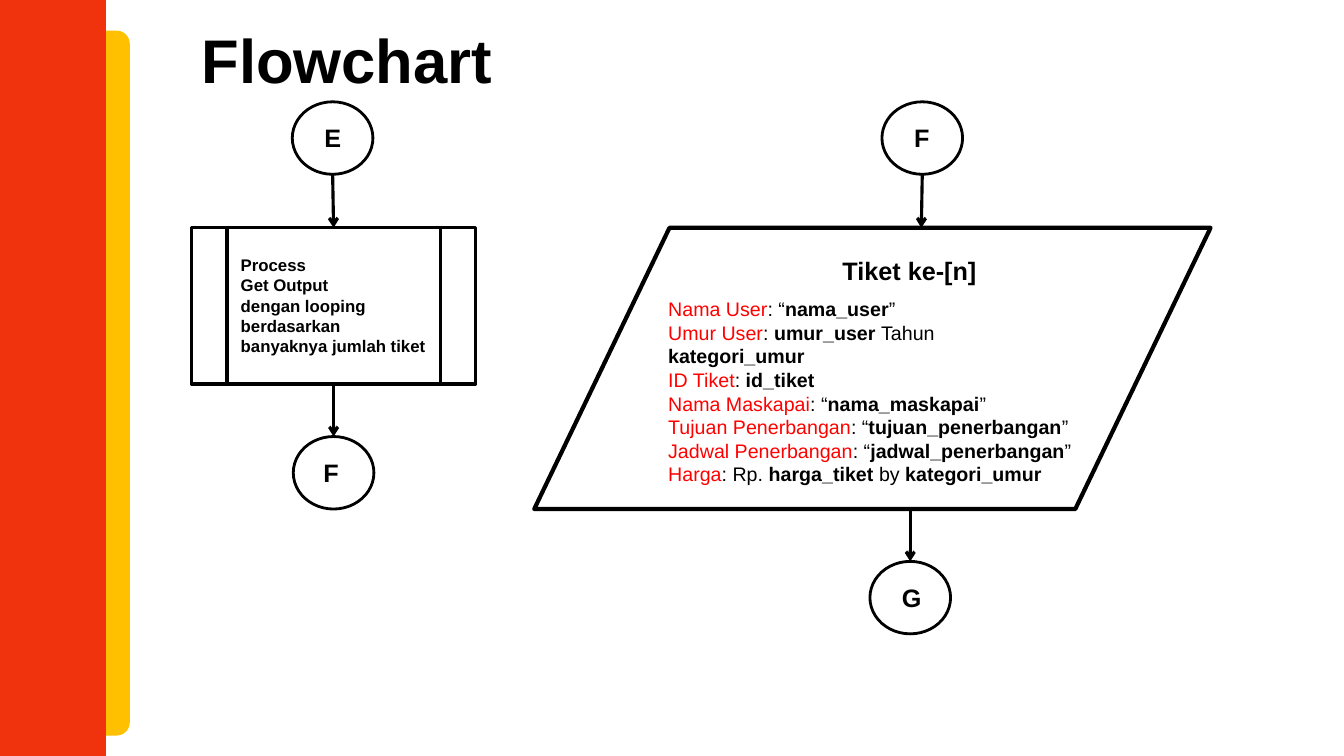
from dataclasses import dataclass

from lxml.etree import SubElement
from pptx import Presentation
from pptx.dml.color import RGBColor
from pptx.enum.shapes import MSO_CONNECTOR, MSO_SHAPE as Preset
from pptx.enum.text import MSO_AUTO_SIZE as AutoSize
from pptx.oxml.ns import qn
from pptx.shapes.autoshape import Shape
from pptx.shapes.connector import Connector
from pptx.util import Pt

BLACK = RGBColor(0x00, 0x00, 0x00)
WHITE = RGBColor(0xFF, 0xFF, 0xFF)
FIELD_RED = RGBColor(0xFF, 0x00, 0x00)
BAND_RED = RGBColor(0xF1, 0x33, 0x0D)
BAND_YELLOW = RGBColor(0xFF, 0xC0, 0x00)
FONT = "Arial"
CIRCLE_WIDTH, CIRCLE_HEIGHT = 57.6, 51.8
TOP, BOTTOM = 0, 2


@dataclass(frozen=True)
class Box:
    left: float
    top: float
    width: float
    height: float

    @property
    def center(self) -> float:
        return self.left + self.width / 2

    @property
    def bottom(self) -> float:
        return self.top + self.height


@dataclass(frozen=True)
class Span:
    text: str
    bold: bool = True
    color: RGBColor = BLACK


@dataclass(frozen=True)
class Junction:
    letter: str
    left: float
    top: float
    label_left: float
    label_width: float

    @property
    def box(self) -> Box:
        return Box(self.left, self.top, CIRCLE_WIDTH, CIRCLE_HEIGHT)


@dataclass(frozen=True)
class Field:
    name: str
    value: tuple[str, ...]  # plain and bold parts in turn

    def spans(self) -> list[Span]:
        parts = [Span(part, bold=i % 2 == 1) for i, part in enumerate(self.value)]
        return [Span(self.name, bold=False, color=FIELD_RED), *parts]


prs = Presentation()
prs.slide_width, prs.slide_height = Pt(960), Pt(540)
slide = prs.slides.add_slide(prs.slide_layouts[6])


def add_block(preset: Preset, box: Box, fill: RGBColor = WHITE,
              line: RGBColor = BLACK, weight: float = 2) -> Shape:
    block = slide.shapes.add_shape(
        preset, Pt(box.left), Pt(box.top), Pt(box.width), Pt(box.height))
    block.shadow.inherit = False
    block.fill.solid()
    block.fill.fore_color.rgb = fill
    block.line.color.rgb = line
    block.line.width = Pt(weight)
    return block


def add_text(paragraphs: list[list[Span]], box: Box, *, size: float,
             wrap: bool = False) -> None:
    frame = slide.shapes.add_textbox(
        Pt(box.left), Pt(box.top), Pt(box.width), Pt(box.height)).text_frame
    frame.word_wrap = wrap
    frame.auto_size = AutoSize.SHAPE_TO_FIT_TEXT
    for i, spans in enumerate(paragraphs):
        paragraph = frame.add_paragraph() if i else frame.paragraphs[0]
        for span in spans:
            for j, piece in enumerate(span.text.split("\n")):
                if j:
                    paragraph.add_line_break()
                run = paragraph.add_run()
                run.text = piece
                run.font.name = FONT
                run.font.size = Pt(size)
                run.font.bold = span.bold
                run.font.color.rgb = span.color


def add_arrow(x: float, top: float, bottom: float) -> Connector:
    arrow = slide.shapes.add_connector(
        MSO_CONNECTOR.STRAIGHT, Pt(x), Pt(top), Pt(x - 0.7), Pt(bottom))
    arrow.line.color.rgb = BLACK
    arrow.line.width = Pt(2.25)
    SubElement(arrow.line._get_or_add_ln(), qn("a:tailEnd"), type="arrow")
    SubElement(arrow._element.spPr, qn("a:effectLst"))
    return arrow


def add_junction(junction: Junction) -> Shape:
    circle = add_block(Preset.OVAL, junction.box)
    label = Box(junction.label_left, junction.top + 11.5, junction.label_width, 28.8)
    add_text([[Span(junction.letter)]], label, size=18)
    return circle


# Side bands and title
add_block(Preset.ROUNDED_RECTANGLE, Box(38.2, 22.3, 54, 502.6),
          fill=BAND_YELLOW, line=BAND_YELLOW, weight=1)
add_block(Preset.RECTANGLE, Box(0, -1.4, 75.6, 546.5),
          fill=BAND_RED, line=BAND_RED, weight=1)
add_text([[Span("Flowchart")]], Box(136.8, 12.2, 222.5, 60.5), size=44)

# Left branch: E, looping process, F
start_e = Junction("E", 208.8, 72.7, 224.6, 26.6)
end_f = Junction("F", 209.5, 311.8, 223.9, 25.2)
process_box = Box(136.8, 162.7, 203, 111.6)
add_junction(start_e)
process = add_block(Preset.FLOWCHART_PREDEFINED_PROCESS, process_box, weight=2.25)
process_lines = ("Process\nGet Output", "dengan looping", "berdasarkan",
                 "banyaknya jumlah tiket")
add_text([[Span(line)] for line in process_lines],
         Box(164.9, 178.6, 146.2, 79.9), size=12)
circle_f = add_junction(end_f)
into_process = add_arrow(start_e.box.center, start_e.box.bottom, process_box.top)
into_process.end_connect(process, TOP)
out_of_process = add_arrow(end_f.box.center, process_box.bottom, end_f.top)
out_of_process.begin_connect(process, BOTTOM)
out_of_process.end_connect(circle_f, TOP)

# Right branch: F, ticket output, G
start_f = Junction("F", 630, 72.7, 645.8, 25.2)
end_g = Junction("G", 621.4, 401, 637.2, 28.1)
ticket_box = Box(381.6, 162.7, 483.1, 200.9)
ticket_fields = (
    Field("Nama User", (": “", "nama_user", "”")),
    Field("Umur User", (": ", "umur_user ", "Tahun ", "kategori_umur")),
    Field("ID Tiket", (": ", "id_tiket")),
    Field("Nama Maskapai", (": “", "nama_maskapai", "”")),
    Field("Tujuan Penerbangan", (": “", "tujuan_penerbangan", "”")),
    Field("Jadwal Penerbangan", (": “", "jadwal_penerbangan", "”")),
    Field("Harga", (": Rp. ", "harga_tiket ", "by ", "kategori_umur")),
)
add_junction(start_f)
add_block(Preset.FLOWCHART_DATA, ticket_box, weight=3)
add_text([[Span("Tiket ke-[n]")]], Box(594.7, 178.6, 110.2, 28.8), size=18)
add_text([field.spans() for field in ticket_fields],
         Box(470.2, 208.8, 304.5, 126), size=14, wrap=True)
circle_g = add_junction(end_g)
add_arrow(start_f.box.center, start_f.box.bottom, ticket_box.top)
out_of_ticket = add_arrow(end_g.box.center, ticket_box.bottom, end_g.top)
out_of_ticket.end_connect(circle_g, TOP)

prs.save("out.pptx")
